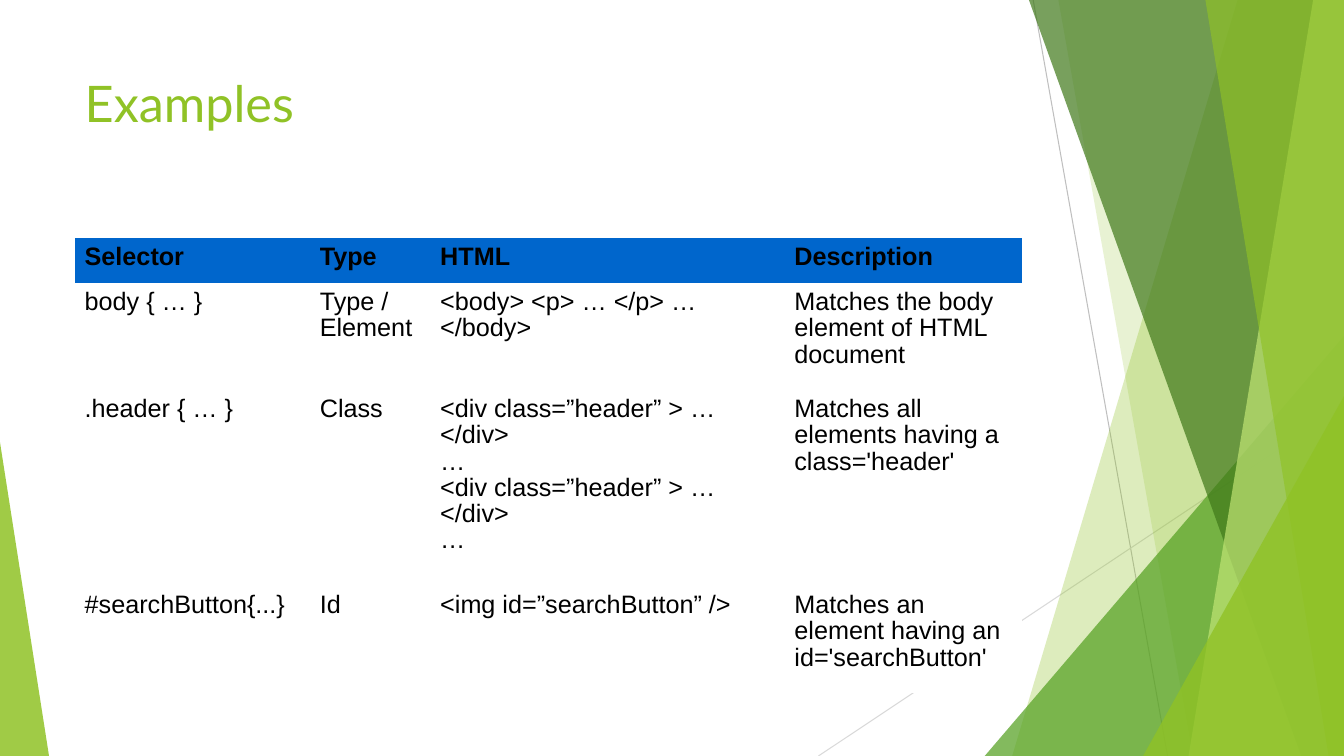
from lxml.etree import SubElement
from pptx import Presentation
from pptx.dml.color import RGBColor
from pptx.enum.shapes import MSO_CONNECTOR as Link, MSO_SHAPE as Kind
from pptx.enum.text import MSO_ANCHOR as Anchor
from pptx.oxml import parse_xml
from pptx.oxml.ns import nsdecls, qn
from pptx.util import Pt

WIDE, HIGH = 960, 540
HUES = {
    "lime": "90C226", "green": "54A021", "dark": "3F7819", "pale": "C0E474",
    "gray": "BFBFBF", "mist": "D9D9D9", "blue": "0066CC",
    "white": "FFFFFF", "black": "000000",
}
# Top x, foot x, hue and opacity of each band that runs to the right edge
BACK = [(884, 723, "lime", 30), (756, 852, "lime", 20)]
FRONT = [(735, 929.5, "dark", 70), (938, 849, "pale", 70), (861, 949, "lime", 65)]

COLS = [168, 86, 253, 170]
ROWS = [32, 76.4, 140, 76.4]
CELLS = [
    ["Selector", "Type", "HTML", "Description"],
    ["body { … }", "Type / Element", "<body> <p> … </p> … </body>",
     "Matches the body element of HTML document"],
    [".header { … }", "Class",
     "<div class=”header” > … </div>\n…\n<div class=”header” > … </div>\n…",
     "Matches all elements having a class='header'"],
    ["#searchButton{...}", "Id", "<img id=”searchButton” />",
     "Matches an element having an id='searchButton'"],
]


def tone(hue):
    return RGBColor.from_string(HUES[hue])


def paint(shape, hue, alpha):
    """Fill with a see-through colour, without outline or shadow."""
    shape.shadow.inherit = False
    shape.line.fill.background()
    shape.fill.solid()
    shape.fill.fore_color.rgb = tone(hue)
    color = shape._element.spPr.find(qn("a:solidFill")).find(qn("a:srgbClr"))
    SubElement(color, qn("a:alpha"), val=str(alpha * 1000))


def add_line(slide, start, end, hue):
    line = slide.shapes.add_connector(
        Link.STRAIGHT, *[Pt(n) for n in (*start, *end)])
    line.line.color.rgb = tone(hue)
    line.line.width = Pt(0.75)
    SubElement(line._element.spPr, qn("a:effectLst"))


def add_band(slide, top, foot, hue, alpha):
    pen = slide.shapes.build_freeform(Pt(top), 0)
    pen.add_line_segments([(Pt(x), Pt(y)) for x, y in
                           ((WIDE, 0), (WIDE, HIGH), (foot, HIGH))])
    paint(pen.convert_to_shape(), hue, alpha)


def add_wedge(slide, left, top, width, tip, hue, alpha):
    """Add a triangle that stands on the bottom edge; tip is 0 left, 1 right."""
    wedge = slide.shapes.add_shape(
        Kind.ISOSCELES_TRIANGLE, Pt(left), Pt(top), Pt(width), Pt(HIGH - top))
    wedge.adjustments[0] = tip
    paint(wedge, hue, alpha)


def add_decor(slide):
    add_line(slide, (738, 0), (834, HIGH), "gray")
    add_line(slide, (WIDE, 290), (584.6, HIGH), "mist")
    for band in BACK:
        add_band(slide, *band)
    add_wedge(slide, 703.4, 240, 256.6, 1, "green", 72)
    for band in FRONT:
        add_band(slide, *band)
    add_wedge(slide, 816.5, 283, 143.5, 1, "lime", 80)
    add_wedge(slide, 0, 316, 35, 0, "lime", 85)


def set_font(para, name, size, hue, bold=False):
    font = para.font
    font.name, font.size, font.bold = name, Pt(size), bold
    font.color.rgb = tone(hue)


def set_title(slide, text):
    title = slide.shapes.title
    title.left, title.top = Pt(53.3), Pt(48)
    title.width, title.height = Pt(677), Pt(104)
    frame = title.text_frame
    frame.text = text
    frame.word_wrap = True
    frame.vertical_anchor = Anchor.TOP
    para = frame.paragraphs[0]
    para.alignment = 1
    set_font(para, "Lato", 36, "lime")


def set_cell(cell, text, head):
    cell.text = text
    cell.margin_left = cell.margin_right = Pt(7.2)
    cell.margin_top, cell.margin_bottom = Pt(5), Pt(3.6)
    cell.vertical_anchor = Anchor.TOP
    cell.fill.solid()
    cell.fill.fore_color.rgb = tone("blue" if head else "white")
    for spot, side in enumerate(("lnL", "lnR", "lnT", "lnB")):
        cell._tc.tcPr.insert(spot, parse_xml(
            f'<a:{side} {nsdecls("a")} w="360"><a:solidFill>'
            f'<a:srgbClr val="{HUES["white"]}"/></a:solidFill></a:{side}>'))
    for para in cell.text_frame.paragraphs:
        para.line_spacing = 0.93
        set_font(para, "Arial", 18, "black", head)


def add_grid(slide):
    grid = slide.shapes.add_table(
        len(ROWS), len(COLS), Pt(53.3), Pt(170),
        Pt(sum(COLS)), Pt(sum(ROWS))).table
    grid.horz_banding = False
    for col, width in zip(grid.columns, COLS):
        col.width = Pt(width)
    for r, (row, height) in enumerate(zip(grid.rows, ROWS)):
        row.height = Pt(height)
        for cell, text in zip(row.cells, CELLS[r]):
            set_cell(cell, text, r == 0)


def main():
    deck = Presentation()
    deck.slide_width, deck.slide_height = Pt(WIDE), Pt(HIGH)
    slide = deck.slides.add_slide(deck.slide_layouts.get_by_name("Title Only"))
    add_decor(slide)
    set_title(slide, "Examples")
    add_grid(slide)
    deck.save("out.pptx")


if __name__ == "__main__":
    main()
